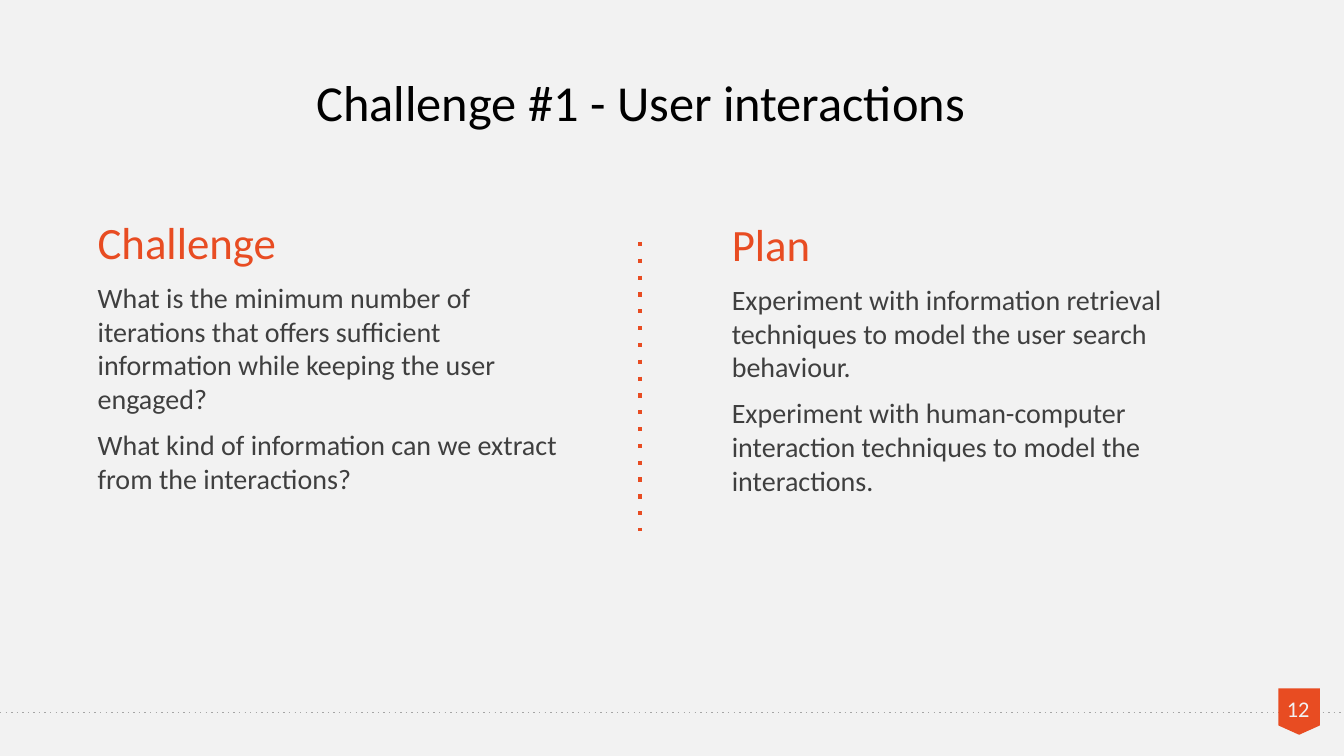
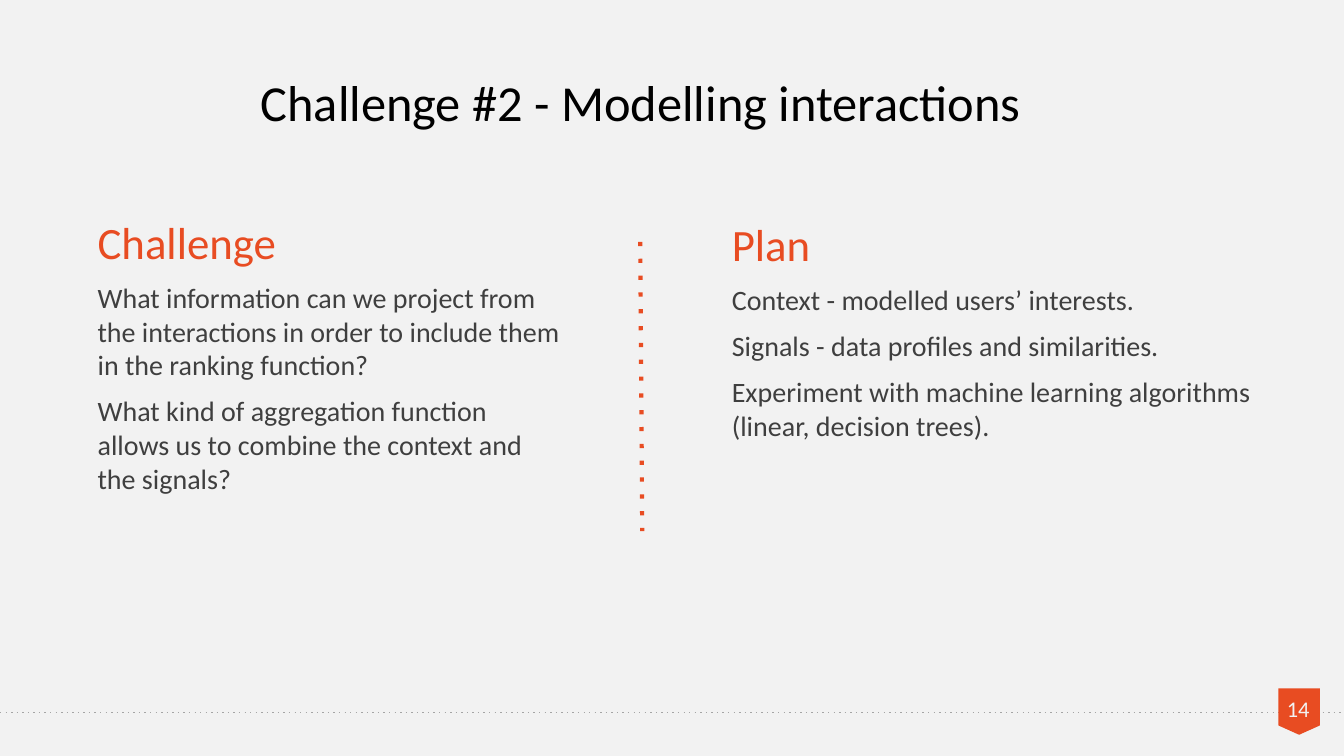
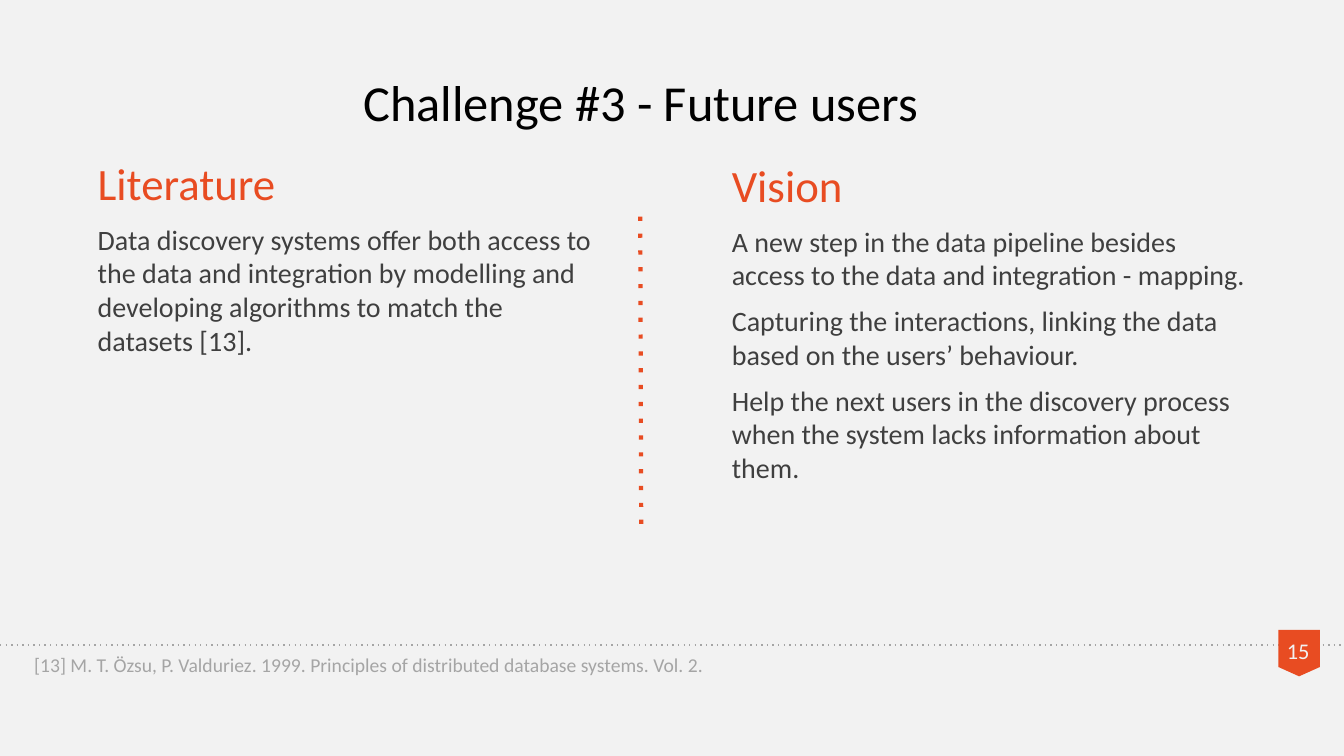
"""Build three two-column challenge slides with a shared title, divider and footer."""
from dataclasses import dataclass

from lxml import etree
from pptx import Presentation
from pptx.dml.color import RGBColor
from pptx.enum import shapes, text
from pptx.oxml import ns
from pptx.slide import Slide
from pptx.util import Inches, Pt

FONT = "Calibri"
HUES = {"page": "F2F2F2", "title": "000000", "accent": "E84C22",
        "body": "3F3F3F", "muted": "A5A5A5"}
WIDTH, HEIGHT = 13.33, 7.5


@dataclass
class Para:
    words: str
    size: float
    hue: str
    center: bool = False
    lead: float = 1.0
    before: float = 0


@dataclass
class Column:
    head: str
    items: list[str]
    width: float


@dataclass
class Page:
    title: str
    number: int
    left: Column
    right: Column
    rule: tuple[float, float, float]
    top: float = 2.08
    line: float = 7.07
    badge: float = 6.83
    note: str = ""


PAGES = [
    Page("Challenge #1 - User interactions", 12,
         Column("Challenge", [
             "What is the minimum number of iterations that offers sufficient "
             "information while keeping the user engaged?",
             "What kind of information can we extract from the interactions?"], 4.83),
         Column("Plan", [
             "Experiment with information retrieval techniques to model the "
             "user search behaviour.",
             "Experiment with human-computer interaction techniques to model "
             "the interactions."], 5.35),
         (2.4, 6.35, 5.27)),
    Page("Challenge #2 - Modelling interactions", 14,
         Column("Challenge", [
             "What information can we project from the interactions in order "
             "to include them in the ranking function?",
             "What kind of aggregation function allows us to combine the "
             "context and the signals?"], 4.83),
         Column("Plan", [
             "Context - modelled users’ interests.",
             "Signals - data profiles and similarities.",
             "Experiment with machine learning algorithms (linear, decision trees)."], 5.35),
         (2.4, 6.37, 5.27)),
    Page("Challenge #3 - Future users", 15,
         Column("Literature", [
             "Data discovery systems offer both access to the data and "
             "integration by modelling and developing algorithms to match the "
             "datasets [13]."], 5.11),
         Column("Vision", [
             "A new step in the data pipeline besides access to the data and "
             "integration - mapping.",
             "Capturing the interactions, linking the data based on the users’ behaviour.",
             "Help the next users in the discovery process when the system "
             "lacks information about them."], 5.35),
         (2.15, 6.36, 5.31), top=1.5, line=6.4, badge=6.25,
         note="[13] M. T. Özsu, P. Valduriez. 1999. Principles of distributed "
              "database systems. Vol. 2."),
]


def color(hue: str) -> RGBColor:
    return RGBColor.from_string(HUES[hue])


def add_text(slide: Slide, x: float, y: float, w: float, h: float,
             paras: list[Para]) -> None:
    frame = slide.shapes.add_textbox(Inches(x), Inches(y), Inches(w), Inches(h)).text_frame
    frame.word_wrap = True
    for i, para in enumerate(paras):
        p = frame.add_paragraph() if i else frame.paragraphs[0]
        p.text = para.words
        p.alignment = text.PP_ALIGN.CENTER if para.center else text.PP_ALIGN.LEFT
        p.line_spacing = para.lead
        p.space_before = Pt(para.before)
        p.font.name = FONT
        p.font.size = Pt(para.size)
        p.font.color.rgb = color(para.hue)


def add_line(slide: Slide, start: tuple[float, float], end: tuple[float, float],
             hue: str, weight: float) -> None:
    line = slide.shapes.add_connector(
        shapes.MSO_CONNECTOR.STRAIGHT, *map(Inches, start + end))
    line.line.color.rgb = color(hue)
    line.line.width = Pt(weight)
    props = line._element.spPr
    dash = etree.SubElement(props.find(ns.qn("a:ln")), ns.qn("a:prstDash"))
    dash.set("val", "dot")
    etree.SubElement(props, ns.qn("a:effectLst"))


def add_column(slide: Slide, x: float, y: float, h: float, col: Column) -> None:
    items = [Para(item, 20, "body", before=8.8) for item in col.items]
    add_text(slide, x, y, col.width, h, [Para(col.head, 32, "accent"), *items])


def add_footer(slide: Slide, page: Page) -> None:
    add_line(slide, (0, page.line), (WIDTH, page.line), "muted", 1)
    badge = slide.shapes.add_shape(
        shapes.MSO_SHAPE.FLOWCHART_OFFPAGE_CONNECTOR,
        Inches(12.68), Inches(page.badge), Inches(0.41), Inches(0.46))
    badge.shadow.inherit = False
    badge.fill.solid()
    badge.fill.fore_color.rgb = color("accent")
    badge.line.fill.background()
    add_text(slide, 12.58, page.badge + 0.05, 0.59, 0.34,
             [Para(str(page.number), 16, "page", center=True, lead=0.9)])
    if page.note:
        add_text(slide, 0.24, page.line + 0.05, 12.45, 1.49,
                 [Para(page.note, 14, "muted", lead=0.9)])


def add_page(slide: Slide, page: Page) -> None:
    add_text(slide, 1.76, 0.36, 9.19, 0.92,
             [Para(page.title, 36, "title", center=True, lead=1.5)])
    add_column(slide, 7.16, page.top + 0.02, 3.8, page.right)
    start, foot, end = page.rule
    add_line(slide, (6.35, start), (foot, end), "accent", 3)
    add_column(slide, 0.87, page.top, 3.84, page.left)
    add_footer(slide, page)


def main() -> None:
    deck = Presentation()
    deck.slide_width, deck.slide_height = Inches(WIDTH), Inches(HEIGHT)
    fill = deck.slide_master.background.fill
    fill.solid()
    fill.fore_color.rgb = color("page")
    for page in PAGES:
        add_page(deck.slides.add_slide(deck.slide_layouts[6]), page)
    deck.save("out.pptx")


if __name__ == "__main__":
    main()
